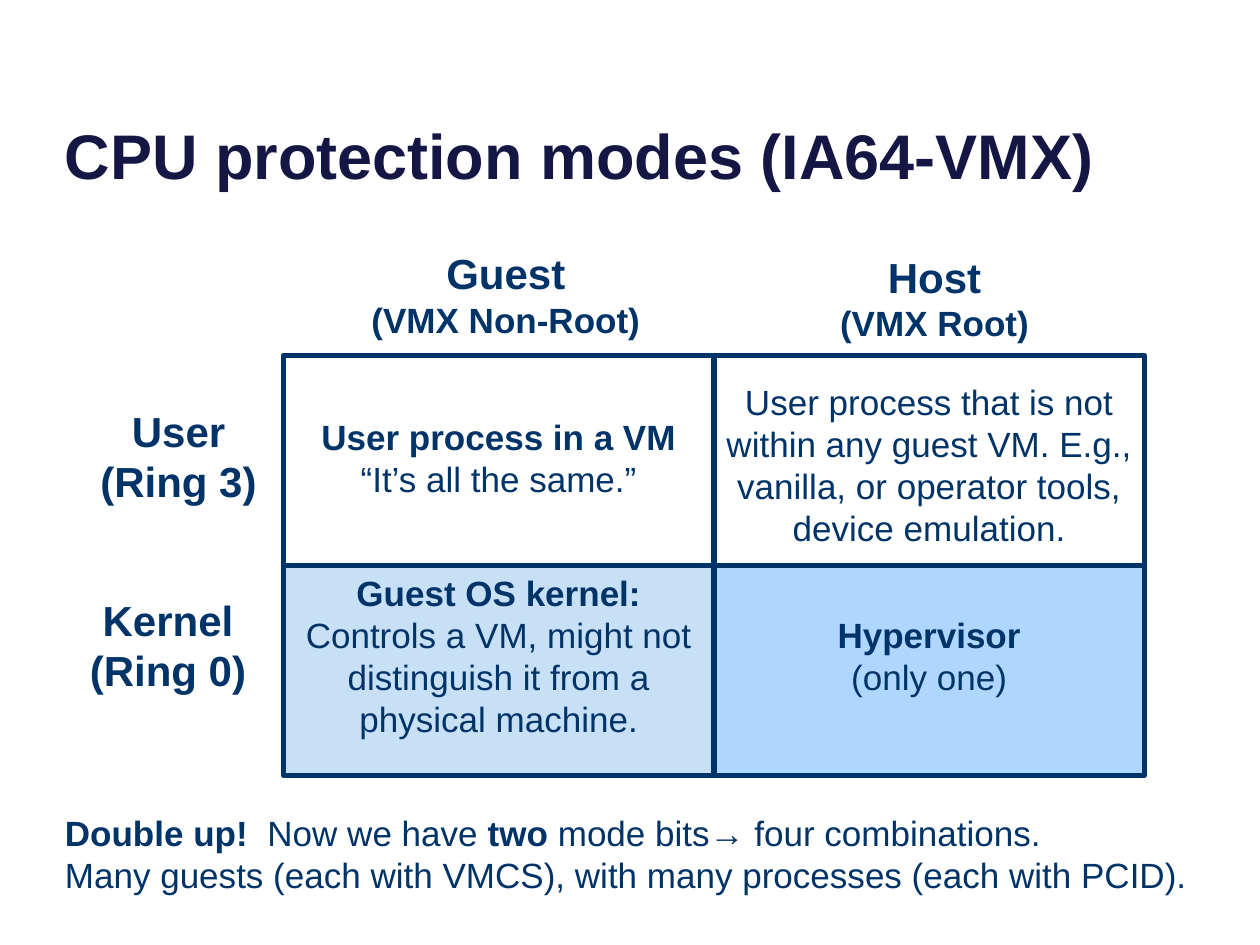
from dataclasses import dataclass

from pptx import Presentation
from pptx.dml.color import RGBColor
from pptx.enum.shapes import MSO_SHAPE
from pptx.enum.text import MSO_ANCHOR, PP_ALIGN
from pptx.util import Pt

RECTANGLE = MSO_SHAPE.RECTANGLE
TOP, BOTTOM = MSO_ANCHOR.TOP, MSO_ANCHOR.BOTTOM
LEFT, CENTER = PP_ALIGN.LEFT, PP_ALIGN.CENTER


@dataclass(frozen=True)
class Theme:
    font: str = "Arial"
    ink: str = "003367"
    title_ink: str = "161645"
    guest_kernel: str = "C7E0F6"
    hypervisor: str = "AED6FF"
    title_size: float = 36
    heading_size: float = 24
    body_size: float = 20
    border: float = 3


THEME = Theme()
BODY = {"size": THEME.body_size, "bold": False, "color": THEME.ink}
STRONG = BODY | {"bold": True}
HEADING = STRONG | {"size": THEME.heading_size}
TITLE = {"size": THEME.title_size, "bold": True, "color": THEME.title_ink}

# Each paragraph is a list of (text, format) runs.
COLUMN_HEADERS = [
    ((193, 138, 192, 60), [[("Guest", HEADING)], [("(VMX Non-Root)", STRONG)]]),
    ((438, 140, 192, 60), [[("Host", HEADING)], [("(VMX Root)", STRONG)]]),
]
ROW_HEADERS = [
    ((18, 228, 168, 66), [[("User", HEADING)], [("(Ring 3)", HEADING)]]),
    ((18, 336, 156, 66), [[("Kernel", HEADING)], [("(Ring 0)", HEADING)]]),
]
# Rows of cells: fill, space above the text, paragraphs.
MODES = [
    [
        (None, 34.6, [[("User process in a VM", STRONG)],
                      [("“It’s all the same.”", BODY)]]),
        (None, 14.4, [[("User process that is not within any guest VM. "
                        "E.g., vanilla, or operator tools, device emulation.", BODY)]]),
    ],
    [
        (THEME.guest_kernel, 3.6, [[("Guest OS kernel:", STRONG)],
                                   [("Controls a VM, might not distinguish it "
                                     "from a physical machine.", BODY)]]),
        (THEME.hypervisor, 27.6, [[("Hypervisor", STRONG)],
                                  [("(only one)", BODY)]]),
    ],
]
SUMMARY = [
    [("Double up!", STRONG), ("  Now we have ", BODY), ("two", STRONG),
     (" mode bits→ four combinations.", BODY)],
    [("Many guests (each with VMCS), with many processes (each with PCID).", BODY)],
]


def write_text(shape, paragraphs, align, anchor=TOP, top_inset=3.6):
    frame = shape.text_frame
    frame_format = {
        "word_wrap": True, "vertical_anchor": anchor,
        "margin_left": Pt(7.2), "margin_right": Pt(7.2),
        "margin_top": Pt(top_inset), "margin_bottom": Pt(3.6),
    }
    for name, value in frame_format.items():
        setattr(frame, name, value)
    for index, runs in enumerate(paragraphs):
        paragraph = frame.add_paragraph() if index else frame.paragraphs[0]
        paragraph.alignment = align
        for text, style in runs:
            run = paragraph.add_run()
            run.text = text
            font_format = {"name": THEME.font, "size": Pt(style["size"]),
                           "bold": style["bold"]}
            for name, value in font_format.items():
                setattr(run.font, name, value)
            run.font.color.rgb = RGBColor.from_string(style["color"])


def add_text(slide, box, paragraphs, align=LEFT, anchor=TOP):
    shape = slide.shapes.add_textbox(*map(Pt, box))
    write_text(shape, paragraphs, align, anchor)


def add_cell(slide, box, fill, top_inset, paragraphs):
    shape = slide.shapes.add_shape(RECTANGLE, *map(Pt, box))
    shape.shadow.inherit = False
    if fill:
        shape.fill.solid()
        shape.fill.fore_color.rgb = RGBColor.from_string(fill)
    else:
        shape.fill.background()
    shape.line.color.rgb = RGBColor.from_string(THEME.ink)
    shape.line.width = Pt(THEME.border)
    write_text(shape, paragraphs, CENTER, top_inset=top_inset)


def add_mode_grid(slide, box):
    left, top, width, height = box
    cell_width, cell_height = width / len(MODES[0]), height / len(MODES)
    for row, cells in enumerate(MODES):
        for column, cell in enumerate(cells):
            cell_box = (left + column * cell_width, top + row * cell_height,
                        cell_width, cell_height)
            add_cell(slide, cell_box, *cell)


def main():
    presentation = Presentation()
    presentation.slide_width, presentation.slide_height = Pt(720), Pt(540)
    slide = presentation.slides.add_slide(presentation.slide_layouts[6])
    add_text(slide, (30, -9, 648, 122.4),
             [[("CPU protection modes (IA64-VMX)", TITLE)]], anchor=BOTTOM)
    add_mode_grid(slide, (162, 203, 492, 240))
    for box, paragraphs in COLUMN_HEADERS + ROW_HEADERS:
        add_text(slide, box, paragraphs, CENTER)
    add_text(slide, (30, 460, 660, 55.4), SUMMARY)
    presentation.save("out.pptx")


if __name__ == "__main__":
    main()
